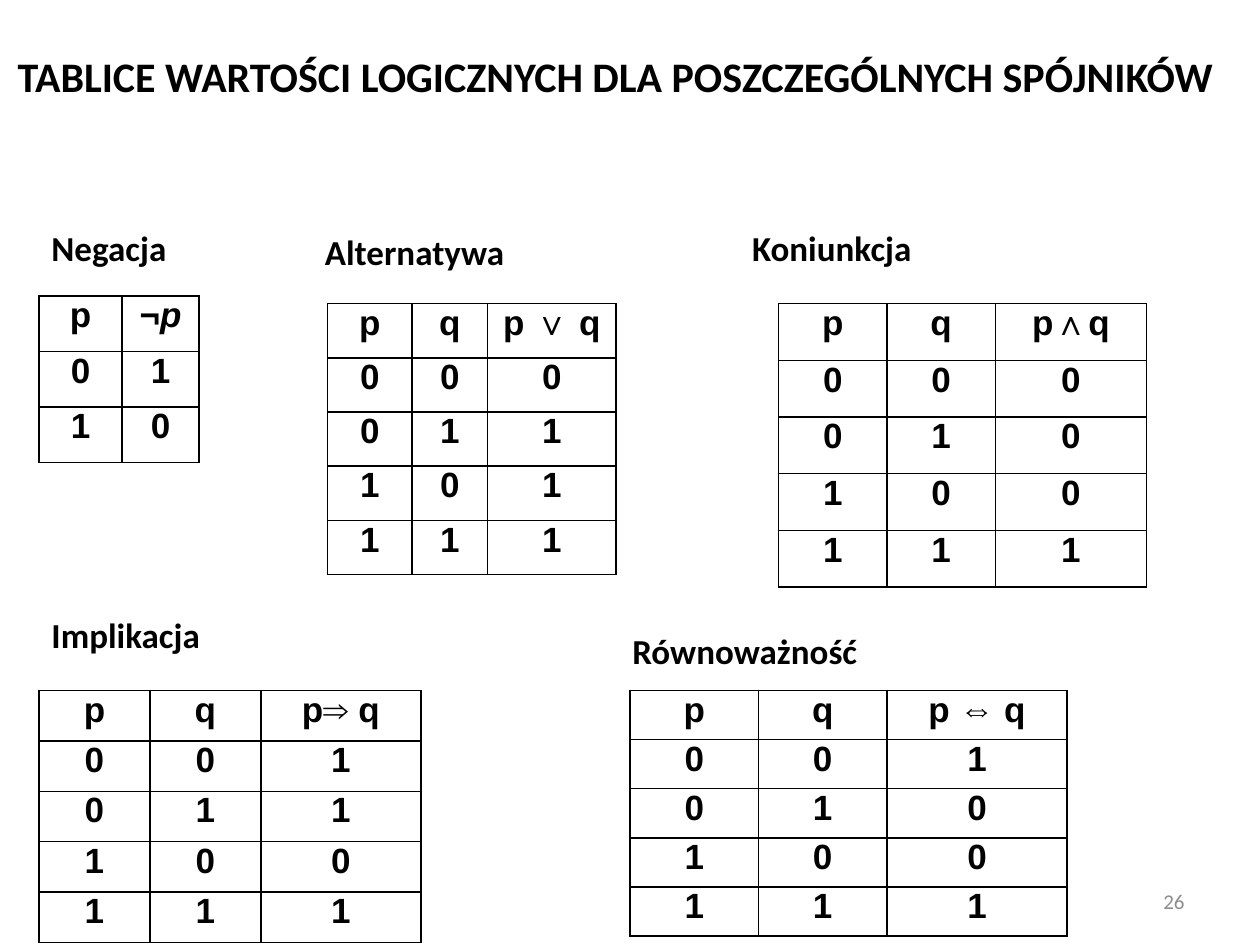
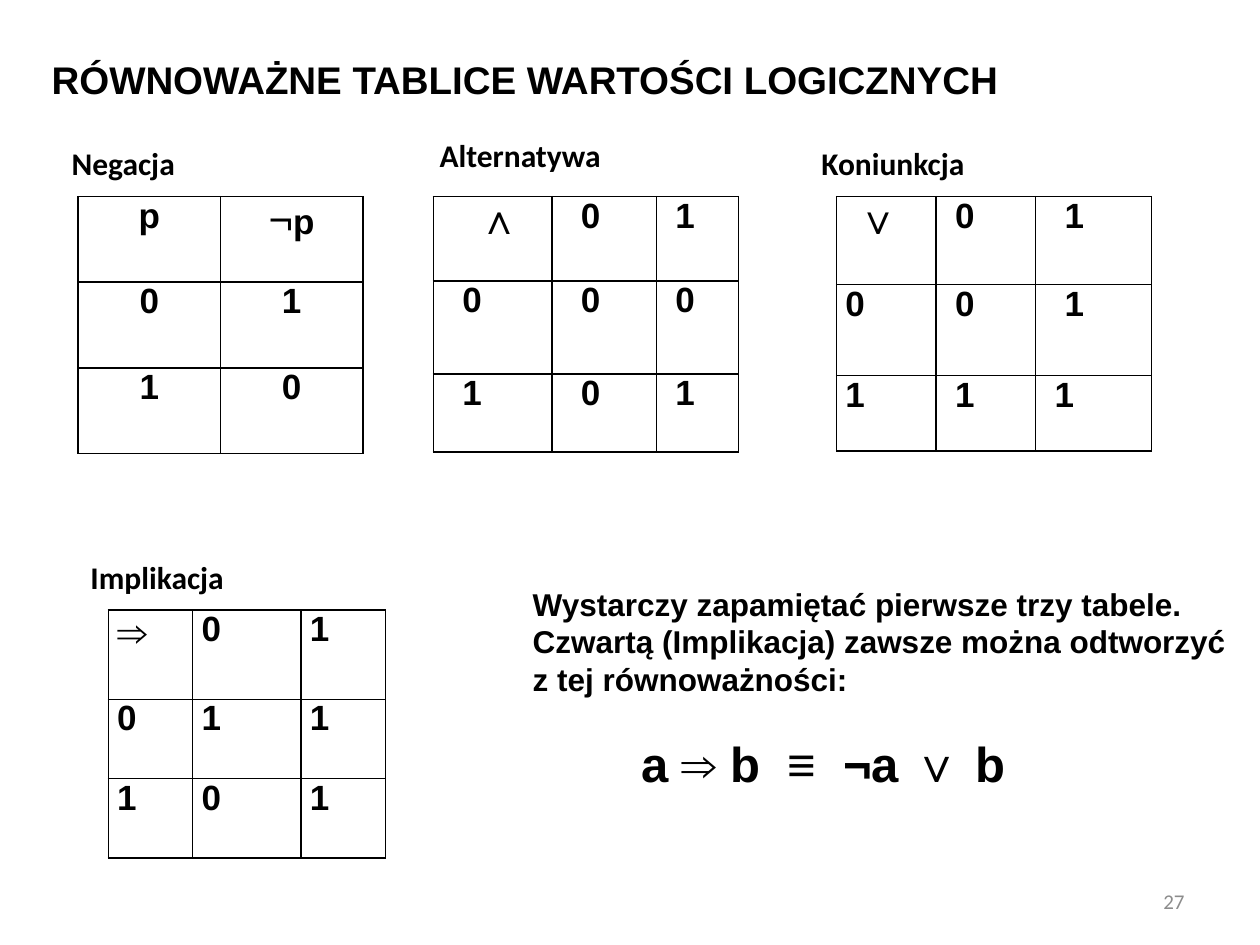
"""Builds two slides with truth tables of the logical connectives."""
from dataclasses import dataclass
from itertools import product

from lxml.etree import SubElement
from pptx import Presentation
from pptx.dml.color import RGBColor
from pptx.enum.text import MSO_ANCHOR, MSO_AUTO_SIZE, PP_ALIGN
from pptx.oxml.ns import qn
from pptx.util import Inches, Pt


@dataclass(frozen=True)
class Theme:
    ink: RGBColor = RGBColor(0, 0, 0)
    muted: RGBColor = RGBColor(0x8C, 0x8C, 0x8C)
    heading_font: str = "Calibri"
    body_font: str = "Arial"
    cell_size: int = 20
    symbol_size: int = 24
    note_size: int = 18
    formula_size: int = 28
    number_size: int = 12
    border_width: int = 1
    space_width: float = 0.08


class Deck:
    def __init__(self, theme):
        self.theme = theme
        self.presentation = Presentation()
        self.presentation.slide_width = Inches(10)
        self.presentation.slide_height = Inches(7.5)
        self.slide = None

    def add_run(self, paragraph, text, size, font=None, color=None, bold=True, italic=False):
        run = paragraph.add_run()
        run.text = text
        run.font.name = font or self.theme.body_font
        run.font.size = Pt(size)
        run.font.bold = bold
        run.font.italic = italic
        run.font.color.rgb = color or self.theme.ink

    def add_slide(self, title, box, size, font, number):
        self.slide = self.presentation.slides.add_slide(self.presentation.slide_layouts[5])
        shape = self.slide.shapes.title
        shape.left, shape.top, shape.width, shape.height = map(Inches, box)
        frame = shape.text_frame
        frame.auto_size = MSO_AUTO_SIZE.NONE
        frame.word_wrap = True
        frame.vertical_anchor = MSO_ANCHOR.BOTTOM
        paragraph = frame.paragraphs[0]
        paragraph.alignment = PP_ALIGN.LEFT
        self.add_run(paragraph, title, size, font)
        self.add_number(number)

    def add_text_frame(self, box, wrap=True):
        frame = self.slide.shapes.add_textbox(*map(Inches, box)).text_frame
        frame.word_wrap = wrap
        return frame

    def add_number(self, number):
        frame = self.add_text_frame((7.17, 6.95, 2.33, 0.4))
        frame.vertical_anchor = MSO_ANCHOR.MIDDLE
        paragraph = frame.paragraphs[0]
        paragraph.alignment = PP_ALIGN.RIGHT
        self.add_run(paragraph, str(number), self.theme.number_size,
                     self.theme.heading_font, self.theme.muted, bold=False)

    def add_label(self, text, left, top, width, size):
        frame = self.add_text_frame((left, top, width, size * 0.022), wrap=False)
        self.add_run(frame.paragraphs[0], text, size, self.theme.heading_font)

    def add_note(self, box, note, formula):
        frame = self.add_text_frame(box)
        frame.margin_top = Inches(0.1)
        self.add_run(frame.paragraphs[0], note, self.theme.note_size)
        paragraph = frame.add_paragraph()
        paragraph.space_before = Pt(20)
        paragraph._p.get_or_add_pPr().set("marL", str(Inches(0.86)))
        self.add_run(paragraph, formula, self.theme.formula_size)

    def add_borders(self, cell):
        properties = cell._tc.get_or_add_tcPr()
        for side in ("lnL", "lnR", "lnT", "lnB"):
            line = SubElement(properties, qn(f"a:{side}"), w=str(Pt(self.theme.border_width)))
            fill = SubElement(line, qn("a:solidFill"))
            SubElement(fill, qn("a:srgbClr"), val=str(self.theme.ink))

    def add_table(self, left, top, widths, heights, rows, margin, indents=None):
        frame = self.slide.shapes.add_table(
            len(rows), len(widths), Inches(left), Inches(top),
            Inches(sum(widths)), Inches(sum(heights)))
        table = frame.table
        table.first_row = table.horz_banding = False
        for column, width in zip(table.columns, widths):
            column.width = Inches(width)
        for row, height in zip(table.rows, heights):
            row.height = Inches(height)
        for (i, row), j in product(enumerate(rows), range(len(widths))):
            cell = table.cell(i, j)
            indent = indents[i][j] * self.theme.space_width if indents else 0
            cell.margin_left = Inches(margin + indent)
            cell.margin_right = Inches(margin)
            cell.margin_top = cell.margin_bottom = 0
            self.add_borders(cell)
            cell.fill.background()
            paragraph = cell.text_frame.paragraphs[0]
            paragraph.alignment = PP_ALIGN.LEFT if indents else PP_ALIGN.CENTER
            content = row[j]
            runs = content if isinstance(content, list) else [(str(content), {})]
            for text, style in runs:
                self.add_run(paragraph, text, **{"size": self.theme.cell_size, **style})


def disjunction(p, q):
    return p | q


def conjunction(p, q):
    return p & q


def implication(p, q):
    return int(p <= q)


def equivalence(p, q):
    return int(p == q)


def negation_rows(header):
    return [("p", header), (0, 1), (1, 0)]


def truth_rows(header, connective):
    return [("p", "q", header)] + [
        (p, q, connective(p, q)) for p, q in product((0, 1), repeat=2)]


def matrix_rows(symbol, connective, size):
    corner = [(symbol, {"size": size})]
    return [(corner, 0, 1)] + [(p, connective(p, 0), connective(p, 1)) for p in (0, 1)]


def build_truth_tables(deck):
    deck.add_slide("TABLICE WARTOŚCI LOGICZNYCH DLA POSZCZEGÓLNYCH SPÓJNIKÓW",
                   (0.04, 0.04, 9.69, 0.81), 24, deck.theme.heading_font, 26)
    for label in (("Negacja", 0.31, 1.75, 1.12), ("Alternatywa", 2.48, 1.78, 1.64),
                  ("Koniunkcja", 5.87, 1.75, 1.48), ("Implikacja", 0.31, 4.82, 1.39),
                  ("Równoważność", 4.92, 4.95, 2)):
        deck.add_label(*label, size=20)
    negated = [("¬", {}), ("p", {"italic": True})]
    deck.add_table(0.31, 2.35, (0.66, 0.61), [0.44] * 3, negation_rows(negated), 0.05)
    for left, top, widths, height, header, connective in (
            (2.6, 2.41, (0.67, 0.6, 1.02), 0.43, "p ∨ q", disjunction),
            (6.18, 2.41, (0.86, 0.86, 1.2), 0.45, "p∧q", conjunction),
            (5, 5.48, (1.02, 1.02, 1.43), 0.39, "p ⇔ q", equivalence),
            (0.31, 5.48, (0.88, 0.88, 1.27), 0.4, "p⇒ q", implication)):
        deck.add_table(left, top, widths, [height] * 5, truth_rows(header, connective), 0.05)


def build_matrices(deck):
    deck.add_slide("RÓWNOWAŻNE TABLICE WARTOŚCI LOGICZNYCH",
                   (0.31, 0.39, 8.83, 0.47), 22, deck.theme.body_font, 27)
    for label in (("Negacja", 0.47, 1.09, 1.03), ("Alternatywa", 3.39, 1.03, 1.49),
                  ("Koniunkcja", 6.42, 1.09, 1.35), ("Implikacja", 0.62, 4.38, 1.27)):
        deck.add_label(*label, size=18)
    symbol_size = deck.theme.symbol_size
    negated = [("¬", {"size": symbol_size, "bold": False}), ("p", {})]
    deck.add_table(0.62, 1.56, (1.13, 1.13), [0.68] * 3, negation_rows(negated), 0.07)
    for left, top, widths, heights, symbol, connective, indents in (
            (6.64, 1.56, (0.79, 0.79, 0.92), (0.7, 0.72, 0.6), "∨", disjunction,
             ((1.2, 1, 2), (0, 1, 2), (0, 1, 1))),
            (3.44, 1.56, (0.94, 0.83, 0.65), (0.67, 0.74, 0.62), "∧", conjunction,
             ((3.6, 2, 1), (2, 2, 1), (2, 2, 1))),
            (0.86, 4.84, (0.67, 0.86, 0.67), (0.71, 0.63, 0.63), "⇒", implication,
             [(0, 0, 0)] * 3)):
        rows = matrix_rows(symbol, connective, symbol_size)
        deck.add_table(left, top, widths, heights, rows, 0.07, indents)
    deck.add_note((4.13, 4.54, 5.7, 1.99),
                  "Wystarczy zapamiętać pierwsze trzy tabele. Czwartą (Implikacja) "
                  "zawsze można odtworzyć z tej równoważności:",
                  "a ⇒ b  ≡  ¬a ∨ b")


def main():
    deck = Deck(Theme())
    build_truth_tables(deck)
    build_matrices(deck)
    deck.presentation.save("out.pptx")


if __name__ == "__main__":
    main()
